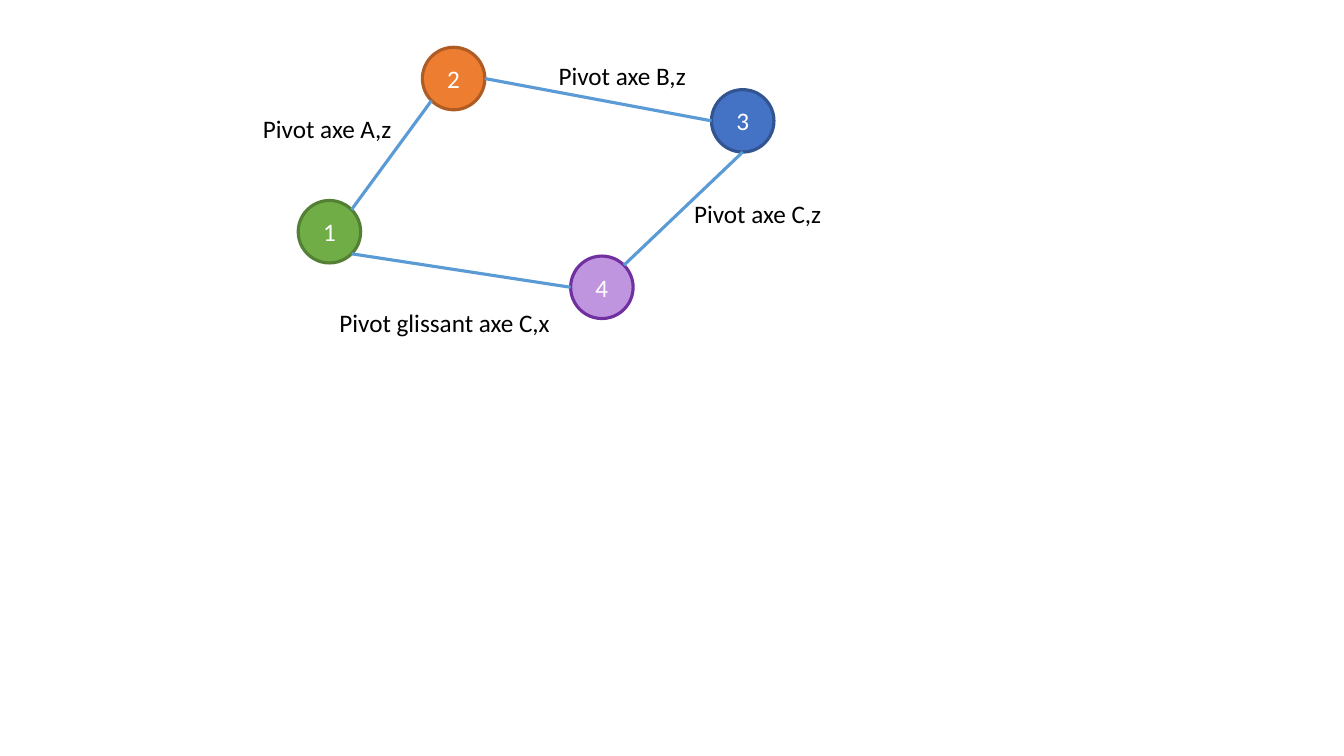
from math import cos, radians, sin

from lxml import etree
from pptx import Presentation
from pptx.dml.color import RGBColor
from pptx.enum.shapes import MSO_CONNECTOR, MSO_SHAPE
from pptx.enum.text import MSO_ANCHOR, MSO_AUTO_SIZE, PP_ALIGN
from pptx.oxml.ns import qn
from pptx.util import Pt

WHITE = RGBColor(0xFF, 0xFF, 0xFF)
BLACK = RGBColor(0x00, 0x00, 0x00)
GREEN = RGBColor(0x70, 0xAD, 0x47)
DARK_GREEN = RGBColor(0x53, 0x80, 0x35)
ORANGE = RGBColor(0xED, 0x7D, 0x31)
DARK_ORANGE = RGBColor(0xAF, 0x5C, 0x24)
BLUE = RGBColor(0x44, 0x72, 0xC4)
DARK_BLUE = RGBColor(0x32, 0x54, 0x91)
LILAC = RGBColor(0xBF, 0x95, 0xDF)
PURPLE = RGBColor(0x70, 0x30, 0xA0)
LINK_BLUE = RGBColor(0x5B, 0x9B, 0xD5)

LEFT, BOTTOM_LEFT, BOTTOM, BOTTOM_RIGHT, RIGHT, TOP_RIGHT = range(2, 8)

SOLIDS = {
    "1": (213, 143.2, GREEN, DARK_GREEN),
    "2": (301.7, 33.8, ORANGE, DARK_ORANGE),
    "3": (508.2, 64, BLUE, DARK_BLUE),
    "4": (407.6, 182.9, LILAC, PURPLE),
}
JOINTS = [
    ("1", TOP_RIGHT, "2", BOTTOM_LEFT),
    ("2", RIGHT, "3", LEFT),
    ("3", BOTTOM, "4", TOP_RIGHT),
    ("1", BOTTOM_RIGHT, "4", LEFT),
]
JOINT_NAMES = [
    ("Pivot axe A,z", 180.7, 77.2, 107.2),
    ("Pivot axe B,z", 391.9, 39.3, 107.2),
    ("Pivot axe C,z", 488.7, 138, 107.2),
    ("Pivot glissant axe C,x", 235.3, 215.8, 166.3),
]


def write(frame, text, color=BLACK, align=PP_ALIGN.LEFT, size=18, font="Calibri"):
    paragraph = frame.paragraphs[0]
    paragraph.alignment = align
    run = paragraph.add_run()
    run.text = text
    run.font.name = font
    run.font.size = Pt(size)
    run.font.color.rgb = color


class LinkageGraph:
    diameter = 44.64
    line_width = 2.25
    label_height = 29.08

    def __init__(self, slide):
        self.shapes = slide.shapes

    def solid(self, number, left, top, fill, outline):
        circle = self.shapes.add_shape(
            MSO_SHAPE.OVAL, Pt(left), Pt(top), Pt(self.diameter), Pt(self.diameter))
        circle.shadow.inherit = False
        circle.fill.solid()
        circle.fill.fore_color.rgb = fill
        circle.line.color.rgb = outline
        circle.line.width = Pt(self.line_width)
        circle.text_frame.vertical_anchor = MSO_ANCHOR.MIDDLE
        write(circle.text_frame, number, color=WHITE, align=PP_ALIGN.CENTER)
        return circle

    def rim_point(self, circle, site):
        angle = radians(90 + 45 * site)
        radius = circle.width / 2
        return (round(circle.left + radius * (1 + cos(angle))),
                round(circle.top + radius * (1 - sin(angle))))

    def joint(self, start, start_site, end, end_site):
        link = self.shapes.add_connector(
            MSO_CONNECTOR.STRAIGHT,
            *self.rim_point(start, start_site), *self.rim_point(end, end_site))
        link.line.color.rgb = LINK_BLUE
        link.line.width = Pt(self.line_width)
        etree.SubElement(link._element.spPr, qn("a:effectLst"))
        glue = link._element.find(".//" + qn("p:cNvCxnSpPr"))
        for tag, circle, site in (("a:stCxn", start, start_site),
                                  ("a:endCxn", end, end_site)):
            etree.SubElement(glue, qn(tag), id=str(circle.shape_id), idx=str(site))

    def joint_name(self, text, left, top, width):
        label = self.shapes.add_textbox(
            Pt(left), Pt(top), Pt(width), Pt(self.label_height))
        label.text_frame.word_wrap = False
        label.text_frame.auto_size = MSO_AUTO_SIZE.SHAPE_TO_FIT_TEXT
        write(label.text_frame, text)


def main():
    deck = Presentation()
    deck.slide_width, deck.slide_height = Pt(960), Pt(540)
    graph = LinkageGraph(deck.slides.add_slide(deck.slide_layouts[6]))
    solids = {number: graph.solid(number, *look) for number, look in SOLIDS.items()}
    for start, start_site, end, end_site in JOINTS:
        graph.joint(solids[start], start_site, solids[end], end_site)
    for name in JOINT_NAMES:
        graph.joint_name(*name)
    deck.save("out.pptx")


if __name__ == "__main__":
    main()
